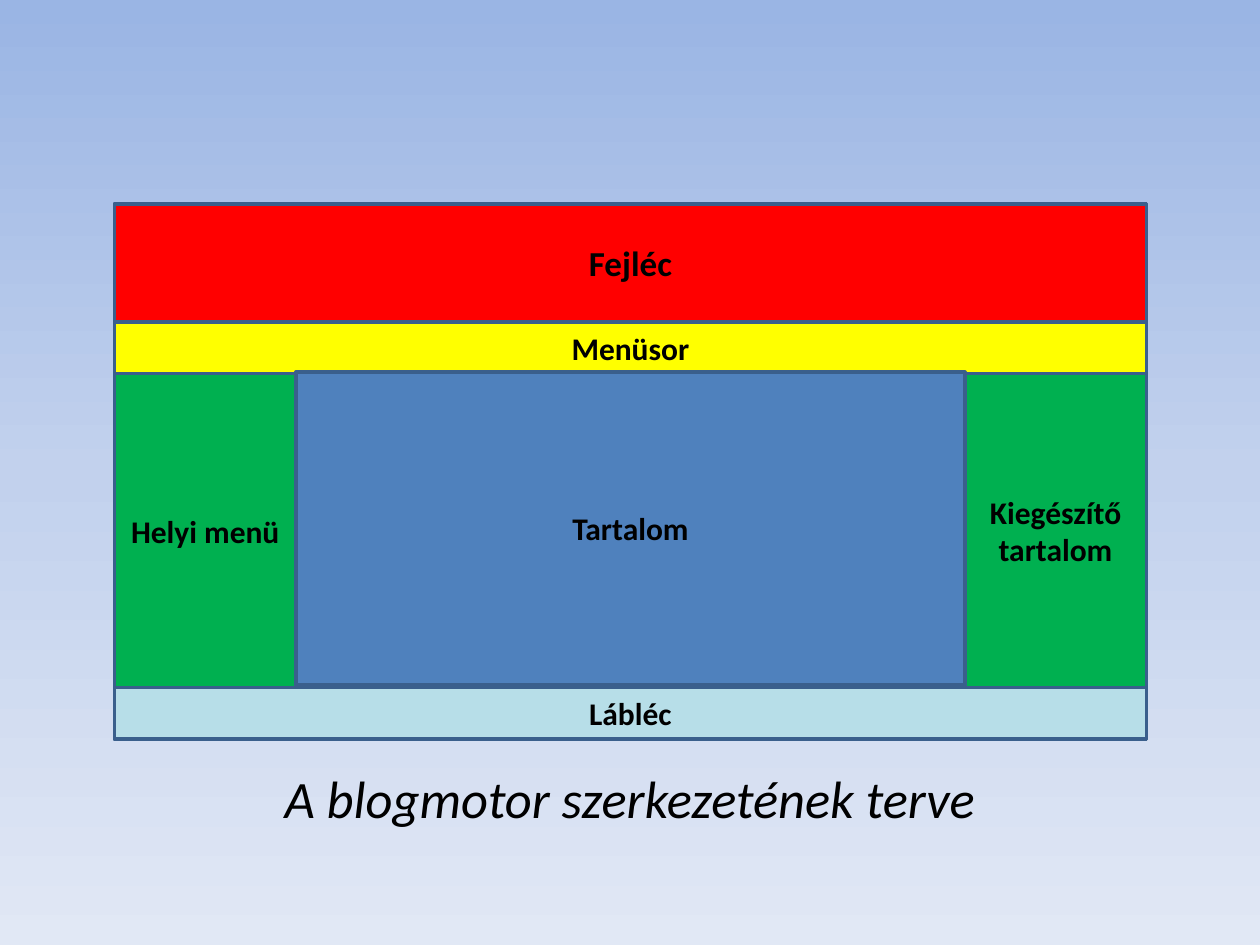
from copy import deepcopy
from dataclasses import dataclass

from pptx import Presentation
from pptx.dml.color import RGBColor
from pptx.enum.shapes import MSO_SHAPE as Preset
from pptx.enum.text import MSO_ANCHOR as Anchor, MSO_AUTO_SIZE as AutoSize, PP_ALIGN as Align
from pptx.util import Cm, Pt


@dataclass(frozen=True)
class Theme:
    """Colours, font and type sizes of the slide."""
    sky: tuple = ((0, "9AB5E4"), (0.5, "C2D1ED"), (1, "E1E8F5"))
    header: str = "FF0000"
    menu: str = "FFFF00"
    side: str = "00B050"
    content: str = "4F81BD"
    footer: str = "B7DEE8"
    border: str = "3A5F8C"
    text: str = "000000"
    font: str = "Calibri"
    header_size: int = 20
    label_size: int = 18
    caption_size: int = 30


THEME = Theme()


def color(code):
    """Return the colour for a hex code."""
    return RGBColor.from_string(code)


def paint_background(page):
    """Fill the page with the vertical gradient of the theme."""
    fill = page.background.fill
    fill.gradient()
    fill.gradient_angle = 270
    stop_list = page.element.xpath(".//p:bg//a:gsLst")[0]
    stop_list.insert(1, deepcopy(stop_list[0]))
    for stop, (position, code) in zip(fill.gradient_stops, THEME.sky):
        stop.position = position
        stop.color.rgb = color(code)


def write(shape, text, size, bold=False, italic=False):
    """Put one centred line of text into a shape."""
    frame = shape.text_frame
    frame.text = text
    frame.word_wrap = True
    frame.vertical_anchor = Anchor.MIDDLE
    para = frame.paragraphs[0]
    para.alignment = Align.CENTER
    font = para.runs[0].font
    font.name, font.size = THEME.font, Pt(size)
    font.bold, font.italic = bold, italic
    font.color.rgb = color(THEME.text)


def add_block(group, left, top, width, height, fill, text="", size=THEME.label_size):
    """Add one bordered area of the layout, measured in centimetres."""
    box = group.shapes.add_shape(Preset.RECTANGLE, Cm(left), Cm(top), Cm(width), Cm(height))
    box.shadow.inherit = False
    box.fill.solid()
    box.fill.fore_color.rgb = color(fill)
    box.line.color.rgb = color(THEME.border)
    box.line.width = Pt(2)
    if text:
        write(box, text, size, bold=True)


def add_layout(page):
    """Stack the header, menu, body and footer of the site plan."""
    left, top, width, side = 2.31, 4.11, 20.8, 3.66
    header, bar, body = 2.38, 1.04, 6.33
    menu_top = top + header
    body_top = menu_top + bar
    footer_top = body_top + body
    group = page.shapes.add_group_shape()
    add_block(group, left, top, width, footer_top + bar - top, THEME.content)
    add_block(group, left, top, width, header, THEME.header, "Fejléc", THEME.header_size)
    add_block(group, left, menu_top, width, bar, THEME.menu, "Menüsor")
    add_block(group, left, body_top, side, body, THEME.side, "Helyi menü")
    add_block(group, left + width - side, body_top, side, body, THEME.side, "Kiegészítő tartalom")
    add_block(group, left, footer_top, width, bar, THEME.footer, "Lábléc")
    add_block(group, left + side, body_top - 0.03, width - 2 * side, body - 0.03,
              THEME.content, "Tartalom")


def add_caption(page, width):
    """Add the caption across the full width of the page."""
    box = page.shapes.add_textbox(0, Cm(15.32), width, Cm(1.55))
    write(box, "A blogmotor szerkezetének terve", THEME.caption_size, italic=True)
    box.text_frame.vertical_anchor = Anchor.TOP
    box.text_frame.auto_size = AutoSize.SHAPE_TO_FIT_TEXT


def main():
    """Build the slide and save the deck."""
    deck = Presentation()
    deck.slide_width, deck.slide_height = Cm(25.4), Cm(19.05)
    page = deck.slides.add_slide(deck.slide_layouts[6])
    paint_background(page)
    add_layout(page)
    add_caption(page, deck.slide_width)
    deck.save("out.pptx")


if __name__ == "__main__":
    main()
